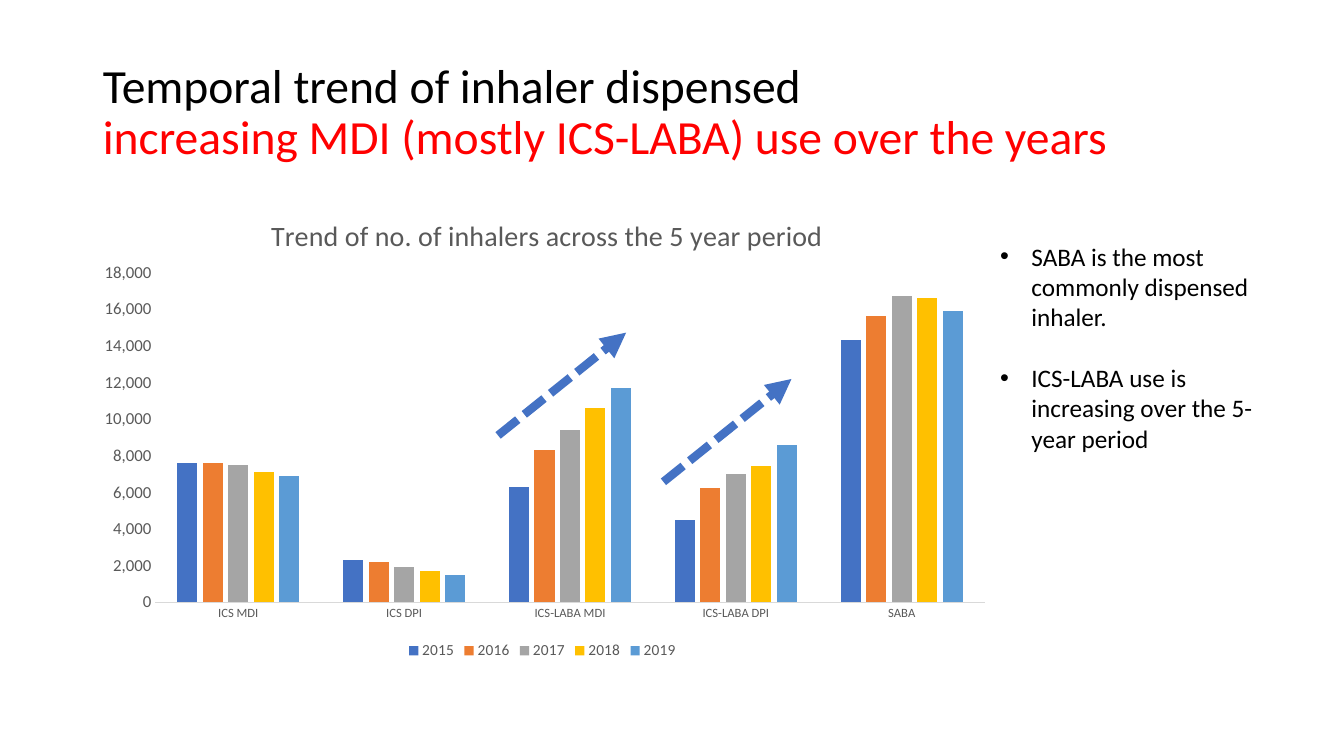
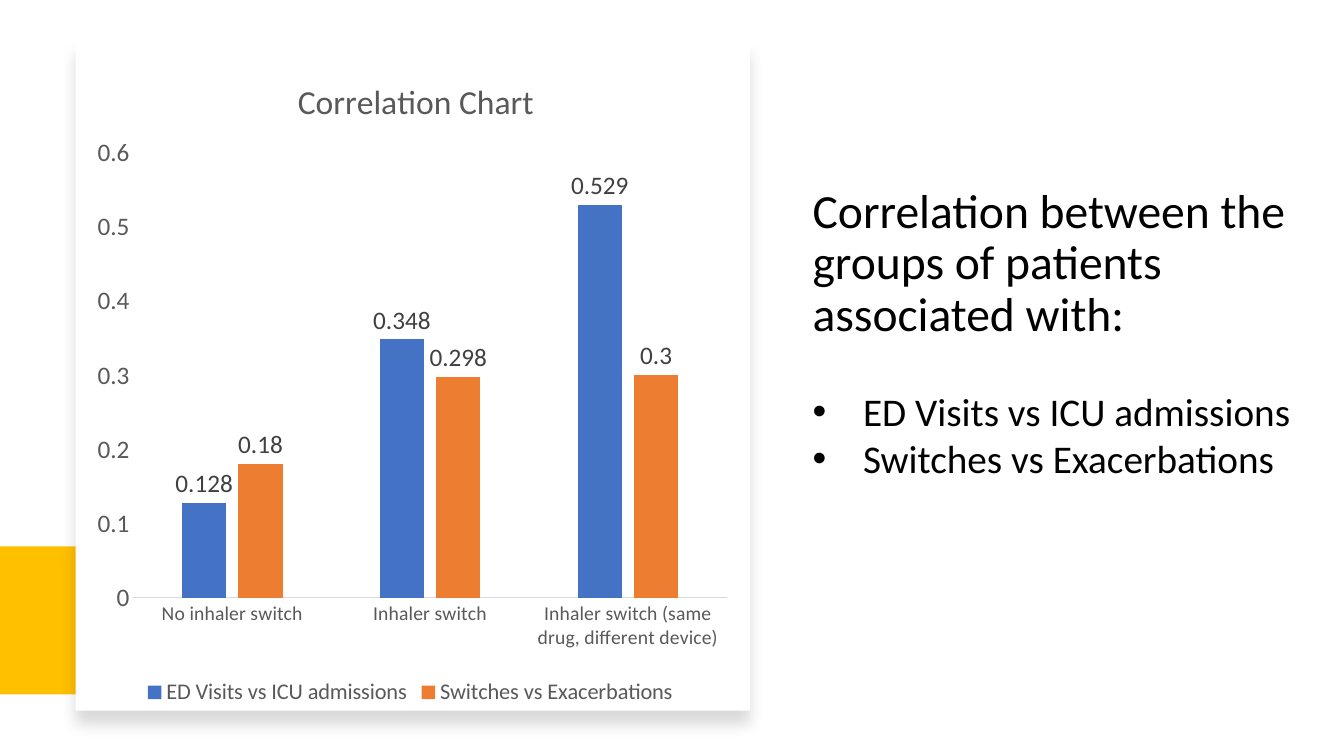
from dataclasses import dataclass
from typing import Any

from lxml import etree
from pptx import Presentation
from pptx.chart.data import CategoryChartData
from pptx.dml.color import RGBColor
from pptx.enum.chart import XL_CHART_TYPE, XL_LABEL_POSITION, XL_LEGEND_POSITION, XL_TICK_MARK
from pptx.enum.dml import MSO_LINE
from pptx.enum.shapes import MSO_CONNECTOR, MSO_SHAPE
from pptx.enum.text import MSO_ANCHOR, MSO_AUTO_SIZE, PP_ALIGN
from pptx.oxml.ns import qn
from pptx.util import Inches, Pt

COLUMN = XL_CHART_TYPE.COLUMN_CLUSTERED
ABOVE = XL_LABEL_POSITION.OUTSIDE_END
BOTTOM = XL_LEGEND_POSITION.BOTTOM
NO_TICK = XL_TICK_MARK.NONE
DASH = MSO_LINE.SQUARE_DOT
STRAIGHT = MSO_CONNECTOR.STRAIGHT
RECT = MSO_SHAPE.RECTANGLE
MIDDLE, LOW, TOP = MSO_ANCHOR.MIDDLE, MSO_ANCHOR.BOTTOM, MSO_ANCHOR.TOP
NO_FIT, GROW = MSO_AUTO_SIZE.NONE, MSO_AUTO_SIZE.SHAPE_TO_FIT_TEXT
LEFT = PP_ALIGN.LEFT

FONT = "Calibri"
BLACK = RGBColor(0x00, 0x00, 0x00)
WHITE = RGBColor(0xFF, 0xFF, 0xFF)
RED = RGBColor(0xFF, 0x00, 0x00)
GREY = RGBColor(0x59, 0x59, 0x59)
DARK = RGBColor(0x40, 0x40, 0x40)
PALE = RGBColor(0xD9, 0xD9, 0xD9)
BLUE = RGBColor(0x44, 0x72, 0xC4)
GOLD = RGBColor(0xFF, 0xC0, 0x00)
HUES = (BLUE, RGBColor(0xED, 0x7D, 0x31), RGBColor(0xA5, 0xA5, 0xA5), GOLD,
        RGBColor(0x5B, 0x9B, 0xD5))

Box = tuple[float, float, float, float]


@dataclass(frozen=True)
class Graph:
    title: str
    box: Box
    names: tuple[str, ...]
    rows: dict[str, tuple[float, ...]]
    top: float
    step: float
    form: str
    head_size: int
    name_size: int
    value_size: int
    key_size: int
    head_at: tuple[float, float]
    plot_at: Box
    label_size: int = 0


@dataclass(frozen=True)
class Arrow:
    left: float
    base: float
    width: float = 1.27
    rise: float = 1.02


TREND = Graph(
    "Trend of no. of inhalers across the 5 year period", (0.81, 1.85, 9.14, 4.74),
    ("ICS MDI", "ICS DPI", "ICS-LABA MDI", "ICS-LABA DPI", "SABA"),
    {
        "2015": (7600, 2300, 6300, 4500, 14300),
        "2016": (7600, 2200, 8300, 6200, 15600),
        "2017": (7500, 1900, 9400, 7000, 16700),
        "2018": (7100, 1700, 10600, 7400, 16600),
        "2019": (6900, 1500, 11700, 8600, 15900),
    },
    18000, 2000, "#,##0", 20, 9, 12, 11, (0.2, 0.05), (0.08, 0.18, 0.9, 0.69))

LINKS = Graph(
    "Correlation Chart", (0.8, 0.46, 6.54, 6.59),
    ("No inhaler switch", "Inhaler switch", "Inhaler switch (same drug, different device)"),
    {
        "ED Visits vs ICU admissions": (0.128, 0.348, 0.529),
        "Switches vs Exacerbations": (0.18, 0.298, 0.3),
    },
    0.6, 0.1, "General", 24, 14, 18, 16, (0.32, 0.04), (0.08, 0.16, 0.9, 0.67), 18)

ARROWS = (Arrow(4.94, 4.32), Arrow(6.58, 4.78))


def style(font: Any, size: float, color: RGBColor) -> None:
    font.name = FONT
    font.size = Pt(size)
    font.bold = False
    font.color.rgb = color


def place(shape: Any, box: Box) -> None:
    shape.left, shape.top, shape.width, shape.height = map(Inches, box)


def set_title(slide: Any, box: Box, lines: dict[str, RGBColor], anchor: Any,
              pad: float = 0.05) -> None:
    title = slide.shapes.title
    place(title, box)
    frame = title.text_frame
    frame.text = "\v".join(lines)
    frame.word_wrap = True
    frame.auto_size = NO_FIT
    frame.vertical_anchor = anchor
    frame.margin_bottom = Inches(pad)
    para = frame.paragraphs[0]
    para.alignment = LEFT
    para.line_spacing = 0.9
    for run, color in zip(para.runs, lines.values()):
        style(run.font, 34, color)


def set_list(slide: Any, box: Box, items: tuple[str, ...], size: float, inset: float,
             gap: float = 0) -> None:
    body = slide.placeholders[1]
    place(body, box)
    frame = body.text_frame
    frame.text = "\n".join(items)
    frame.word_wrap = True
    frame.auto_size = GROW
    frame.vertical_anchor = TOP
    for spot, para in enumerate(frame.paragraphs):
        para.alignment = LEFT
        para.line_spacing = 1.0
        para.space_before = Pt(gap if spot else 0)
        para.space_after = Pt(0)
        props = para._p.get_or_add_pPr()
        props.set("marL", str(Inches(inset)))
        props.set("indent", str(-Inches(inset)))
        for run in para.runs:
            style(run.font, size, BLACK)


def set_layout(node: Any, slot: int, parts: dict[str, Any]) -> None:
    old = node.find(qn("c:layout"))
    if old is not None:
        node.remove(old)
    layout = etree.Element(qn("c:layout"))
    manual = etree.SubElement(layout, qn("c:manualLayout"))
    for tag, value in parts.items():
        etree.SubElement(manual, qn(f"c:{tag}")).set("val", str(value))
    node.insert(slot, layout)


def add_graph(slide: Any, graph: Graph) -> None:
    data = CategoryChartData(number_format=graph.form)
    data.categories = graph.names
    for name, row in graph.rows.items():
        data.add_series(name, row)
    chart = slide.shapes.add_chart(COLUMN, *map(Inches, graph.box), data).chart
    style(chart.font, 10, GREY)

    chart.has_title = True
    head = chart.chart_title
    head.text_frame.text = graph.title
    style(head.text_frame.paragraphs[0].runs[0].font, graph.head_size, GREY)
    edge = {"xMode": "edge", "yMode": "edge"}
    set_layout(head.element, 1, edge | dict(zip("xy", graph.head_at)))
    area = chart.element.find(f".//{qn('c:plotArea')}")
    set_layout(area, 0, {"layoutTarget": "inner"} | edge | dict(zip("xywh", graph.plot_at)))

    chart.has_legend = True
    chart.legend.position = BOTTOM
    chart.legend.include_in_layout = False
    style(chart.legend.font, graph.key_size, GREY)

    base, scale = chart.category_axis, chart.value_axis
    for axis, size in ((base, graph.name_size), (scale, graph.value_size)):
        axis.has_major_gridlines = False
        axis.major_tick_mark = axis.minor_tick_mark = NO_TICK
        style(axis.tick_labels.font, size, GREY)
    base.format.line.color.rgb = PALE
    base.format.line.width = Pt(0.75)
    scale.format.line.fill.background()
    scale.minimum_scale = 0
    scale.maximum_scale = graph.top
    scale.major_unit = graph.step
    scale.tick_labels.number_format = graph.form
    scale.tick_labels.number_format_is_linked = False

    plot = chart.plots[0]
    plot.vary_by_categories = False
    plot.gap_width = 219
    plot.overlap = -27
    for bars, hue in zip(plot.series, HUES):
        bars.invert_if_negative = False
        bars.format.fill.solid()
        bars.format.fill.fore_color.rgb = hue
        if graph.label_size:
            labels = bars.data_labels
            labels.show_value = True
            labels.position = ABOVE
            style(labels.font, graph.label_size, DARK)


def add_arrow(slide: Any, arrow: Arrow) -> None:
    line = slide.shapes.add_connector(
        STRAIGHT, Inches(arrow.left), Inches(arrow.base),
        Inches(arrow.left + arrow.width), Inches(arrow.base - arrow.rise))
    line.line.color.rgb = BLUE
    line.line.width = Pt(6)
    line.line.dash_style = DASH
    props = line._element.spPr
    etree.SubElement(props.find(qn("a:ln")), qn("a:tailEnd")).set("type", "triangle")
    etree.SubElement(props, qn("a:effectLst"))


def add_block(slide: Any, box: Box, color: RGBColor) -> Any:
    block = slide.shapes.add_shape(RECT, *map(Inches, box))
    block.fill.solid()
    block.fill.fore_color.rgb = color
    block.line.fill.background()
    block.shadow.inherit = False
    return block


def add_shade(shape: Any) -> None:
    effects = shape._element.spPr.find(qn("a:effectLst"))
    shade = etree.SubElement(effects, qn("a:outerShdw"), blurRad=str(Pt(11)),
                             dist=str(Pt(10)), dir="5400000", algn="t", rotWithShape="0")
    color = etree.SubElement(shade, qn("a:srgbClr"), val=str(BLACK))
    etree.SubElement(color, qn("a:alpha"), val="15000")


def build_trend(slide: Any) -> None:
    set_title(slide, (0.92, 0.4, 11.5, 1.45), {
        "Temporal trend of inhaler dispensed": BLACK,
        "increasing MDI (mostly ICS-LABA) use over the years": RED,
    }, MIDDLE)
    set_list(slide, (9.82, 2.34, 2.73, 2.52), (
        "SABA is the most commonly dispensed inhaler.",
        "ICS-LABA use is increasing over the 5-year period",
    ), 18, 0.31, 22)
    add_graph(slide, TREND)
    for arrow in ARROWS:
        add_arrow(slide, arrow)


def build_links(slide: Any) -> None:
    set_title(slide, (7.96, 1.33, 5.38, 3.3), {
        "Correlation between the groups of patients associated with:": BLACK,
    }, LOW, 1.24)
    set_list(slide, (7.96, 3.79, 5.1, 1.04), tuple(LINKS.rows), 28, 0.5)
    add_block(slide, (0, 5.42, 6.2, 1.47), GOLD)
    add_shade(add_block(slide, (0.75, 0.41, 6.69, 6.64), WHITE))
    add_graph(slide, LINKS)


def main() -> None:
    deck = Presentation()
    deck.slide_width, deck.slide_height = Inches(13.33), Inches(7.5)
    for build in (build_trend, build_links):
        build(deck.slides.add_slide(deck.slide_layouts[1]))
    deck.save("out.pptx")


if __name__ == "__main__":
    main()
